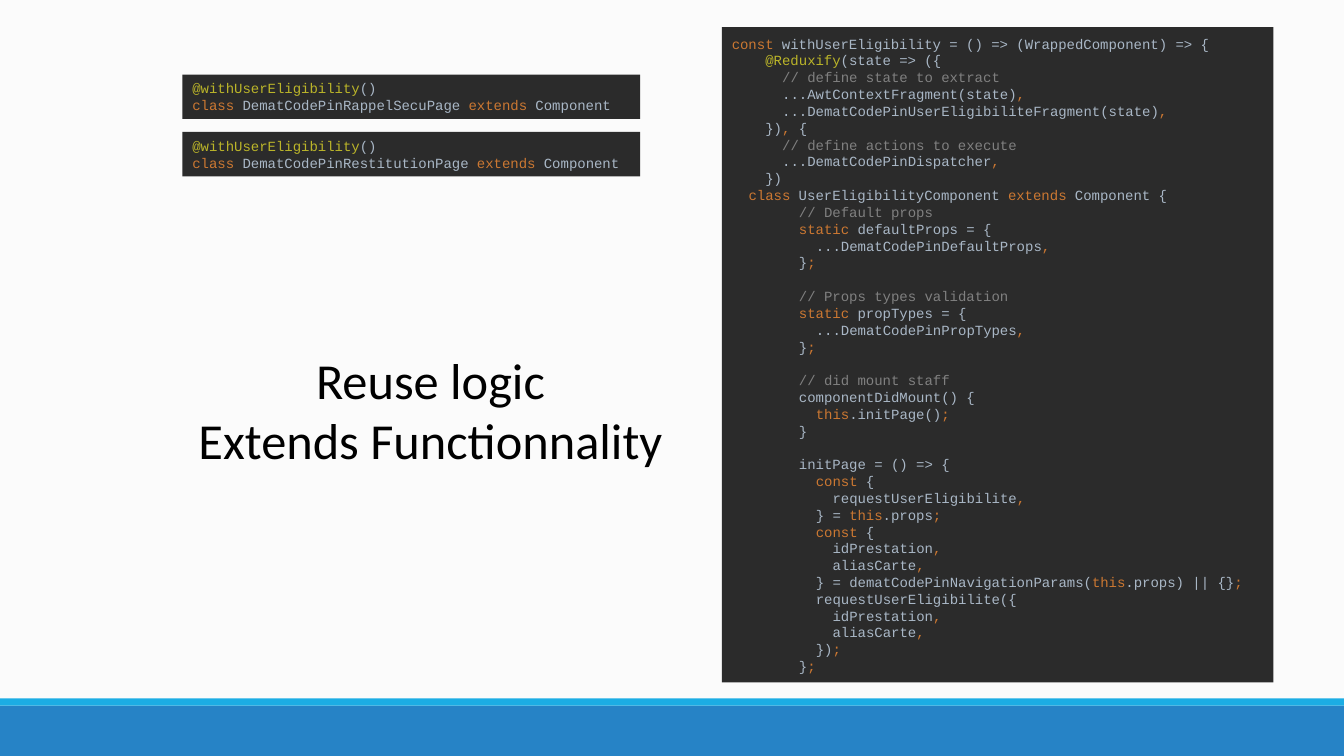
from itertools import groupby

from pptx import Presentation
from pptx.dml.color import RGBColor
from pptx.enum.shapes import MSO_SHAPE
from pptx.enum.text import MSO_ANCHOR, PP_ALIGN
from pptx.util import Inches, Pt

RECT = MSO_SHAPE.RECTANGLE
MIDDLE = MSO_ANCHOR.MIDDLE
LEFT, CENTER = PP_ALIGN.LEFT, PP_ALIGN.CENTER

PAGES = ["DematCodePinRappelSecuPage", "DematCodePinRestitutionPage"]
USAGE = """@withUserEligibility()
class {} extends Component"""
WRAPPER = [
    """const withUserEligibility = () => (WrappedComponent) => {
    @Reduxify(state => ({
      // define state to extract
      ...AwtContextFragment(state),
      ...DematCodePinUserEligibiliteFragment(state),
    }), {
      // define actions to execute
      ...DematCodePinDispatcher,
    })
  class UserEligibilityComponent extends Component {
        // Default props
        static defaultProps = {
          ...DematCodePinDefaultProps,
        };""",
    """        // Props types validation
        static propTypes = {
          ...DematCodePinPropTypes,
        };""",
    """        // did mount staff
        componentDidMount() {
          this.initPage();
        }""",
    """        initPage = () => {
          const {
            requestUserEligibilite,
          } = this.props;
          const {
            idPrestation,
            aliasCarte,
          } = dematCodePinNavigationParams(this.props) || {};
          requestUserEligibilite({
            idPrestation,
            aliasCarte,
          });
        };""",
]
CLAIMS = ["Reuse logic", "Extends Functionnality"]
BARS = [(7, 0.5, "2683C6"), (6.93, 0.07, "1CADE4")]

KEYWORDS = {"const", "class", "extends", "static", "this", ",", ";"}
PLAIN, KEY, MARK, NOTE = "A9B7C6", "CC7832", "BBB529", "808080"
PANEL, PAPER, INK = "2B2B2B", "FBFBFB", "000000"
WIDTH, HEIGHT = 13.33, 7.5
CHAR, LINE = Pt(6), Pt(12)


def color(code):
    return RGBColor.from_string(code)


def add_rect(slide, left, top, width, height, fill):
    box = slide.shapes.add_shape(
        RECT, Inches(left), Inches(top), Inches(width), Inches(height))
    box.shadow.inherit = False
    box.fill.solid()
    box.fill.fore_color.rgb = color(fill)
    box.line.fill.background()
    return box


def style(run, font, size, code):
    run.font.name = font
    run.font.size = Pt(size)
    run.font.color.rgb = color(code)


def token_kind(char):
    return "word" if char.isalnum() or char == "@" else char


def token_color(token):
    if token.startswith("@"):
        return MARK
    return KEY if token in KEYWORDS else PLAIN


def color_runs(line):
    """Split a line of code into pairs of colour and text."""
    if line.startswith("//"):
        return [(NOTE, line)]
    tokens = ["".join(group) for _, group in groupby(line, token_kind)]
    return [(code, "".join(group))
            for code, group in groupby(tokens, token_color)]


def add_code(slide, left, top, width, height, blocks):
    frame = add_rect(slide, left, top, width, height, PANEL).text_frame
    frame.word_wrap = True
    frame.vertical_anchor = MIDDLE
    lines = [(line, LINE if index and not row else 0)
             for index, block in enumerate(blocks)
             for row, line in enumerate(block.split("\n"))]
    for index, (line, gap) in enumerate(lines):
        para = frame.add_paragraph() if index else frame.paragraphs[0]
        text = line.lstrip()
        para.alignment = LEFT
        para.space_before = gap
        indent = CHAR * (len(line) - len(text))
        para._p.get_or_add_pPr().set("marL", str(indent))
        for code, part in color_runs(text):
            run = para.add_run()
            run.text = part
            style(run, "Courier New", 10, code)


def add_claims(slide):
    box = slide.shapes.add_textbox(
        Inches(0.78), Inches(3.41), Inches(6.98), Inches(1.31))
    frame = box.text_frame
    frame.word_wrap = True
    frame.text = "\n".join(CLAIMS)
    for para in frame.paragraphs:
        para.alignment = CENTER
        style(para.runs[0], "Calibri", 36, INK)


def main():
    deck = Presentation()
    deck.slide_width, deck.slide_height = Inches(WIDTH), Inches(HEIGHT)
    slide = deck.slides.add_slide(deck.slide_layouts[6])
    slide.background.fill.solid()
    slide.background.fill.fore_color.rgb = color(PAPER)
    for top, height, fill in BARS:
        add_rect(slide, 0, top, WIDTH, height, fill)
    for row, page in enumerate(PAGES):
        add_code(slide, 1.81, 0.74 + 0.57 * row, 4.54, 0.44,
                 [USAGE.format(page)])
    add_code(slide, 7.16, 0.27, 5.47, 6.5, WRAPPER)
    add_claims(slide)
    deck.save("out.pptx")


if __name__ == "__main__":
    main()
